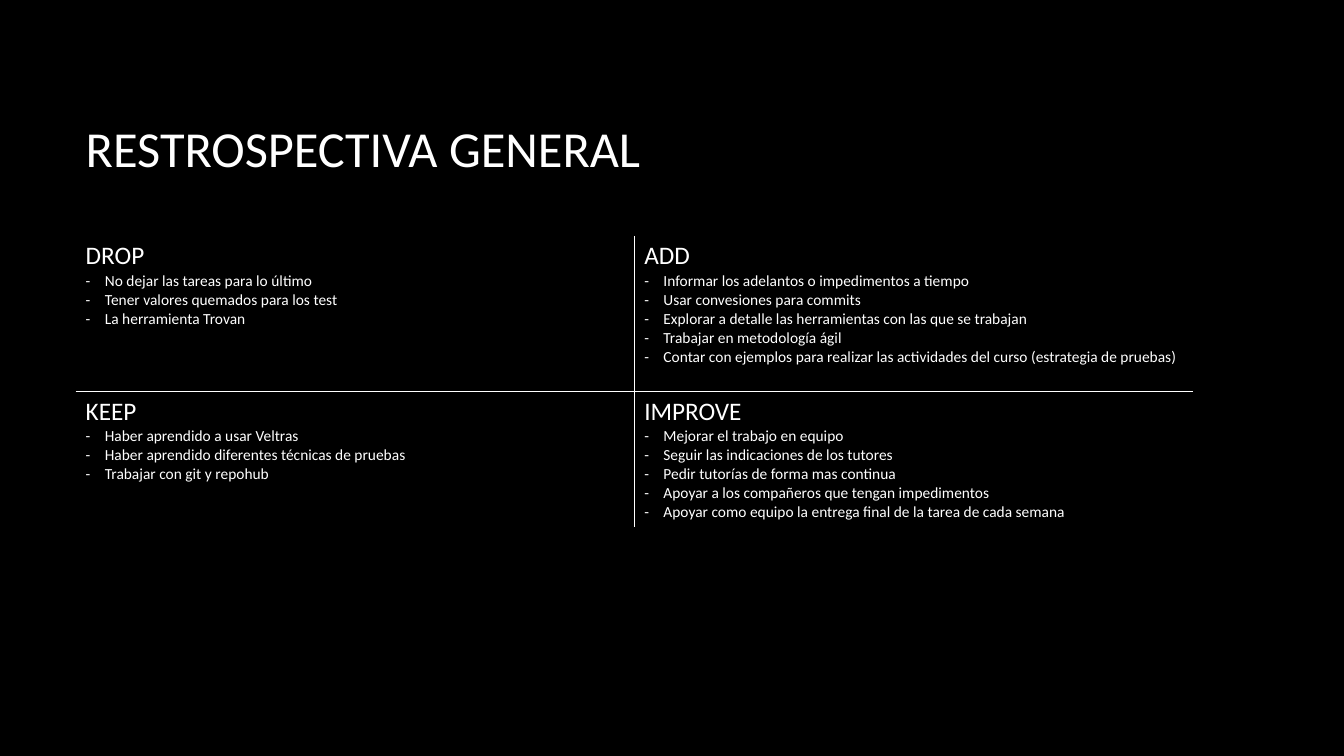
"""Build a retrospective slide with a two-by-two table of drop, add, keep and improve."""
import pptx
import pptx.dml.color
import pptx.enum.text
import pptx.oxml.ns
import pptx.util
from lxml import etree

BLACK = pptx.dml.color.RGBColor(0x00, 0x00, 0x00)
WHITE = pptx.dml.color.RGBColor(0xFF, 0xFF, 0xFF)
FONT = "Calibri"
LEFT, WIDTH = 0.75, 11.08
ROW_HEIGHTS = [1.54, 1.34]
INDENT = pptx.util.Inches(0.19)

QUADRANTS = [
    [("DROP", ["No dejar las tareas para lo último",
               "Tener valores quemados para los test",
               "La herramienta Trovan"]),
     ("ADD", ["Informar los adelantos o impedimentos a tiempo",
              "Usar convesiones para commits",
              "Explorar a detalle las herramientas con las que se trabajan",
              "Trabajar en metodología ágil",
              "Contar con ejemplos para realizar las actividades del curso (estrategia de pruebas)"])],
    [("KEEP", ["Haber aprendido a usar Veltras",
               "Haber aprendido diferentes técnicas de pruebas",
               "Trabajar con git y repohub"]),
     ("IMPROVE", ["Mejorar el trabajo en equipo",
                  "Seguir las indicaciones de los tutores",
                  "Pedir tutorías de forma mas continua",
                  "Apoyar a los compañeros que tengan impedimentos",
                  "Apoyar como equipo la entrega final de la tarea de cada semana"])],
]


def format_paragraph(p, text, size):
    p.text = text
    p.font.name = FONT
    p.font.size = pptx.util.Pt(size)
    p.font.bold = False
    p.font.color.rgb = WHITE


def add_border(cell, side, visible):
    ln = etree.SubElement(cell._tc.get_or_add_tcPr(), pptx.oxml.ns.qn(f"a:ln{side}"),
                          w=str(pptx.util.Pt(1)))
    if visible:
        fill = etree.SubElement(ln, pptx.oxml.ns.qn("a:solidFill"))
        etree.SubElement(fill, pptx.oxml.ns.qn("a:srgbClr"), val=str(WHITE))
    else:
        etree.SubElement(ln, pptx.oxml.ns.qn("a:noFill"))


prs = pptx.Presentation()
prs.slide_width = pptx.util.Inches(13.33)
prs.slide_height = pptx.util.Inches(7.5)
s = prs.slides.add_slide(prs.slide_layouts[5])
s.background.fill.solid()
s.background.fill.fore_color.rgb = BLACK

title = s.shapes.title
title.left, title.top = pptx.util.Inches(LEFT), pptx.util.Inches(0.67)
title.width, title.height = pptx.util.Inches(WIDTH), pptx.util.Inches(1.59)
tf = title.text_frame
tf.vertical_anchor = pptx.enum.text.MSO_ANCHOR.MIDDLE
format_paragraph(tf.paragraphs[0], "RESTROSPECTIVA GENERAL", 36)
tf.paragraphs[0].alignment = pptx.enum.text.PP_ALIGN.LEFT

table = s.shapes.add_table(2, 2, pptx.util.Inches(LEFT), pptx.util.Inches(2.34),
                           pptx.util.Inches(WIDTH), pptx.util.Inches(sum(ROW_HEIGHTS))).table
table.first_row = False
table.horz_banding = False

for r, quadrants in enumerate(QUADRANTS):
    table.rows[r].height = pptx.util.Inches(ROW_HEIGHTS[r])
    for c, (heading, items) in enumerate(quadrants):
        cell = table.cell(r, c)
        inner = {"L": c == 1, "R": c == 0, "T": r == 1, "B": r == 0}
        for side, visible in inner.items():
            add_border(cell, side, visible)
        cell.fill.background()
        tf = cell.text_frame
        format_paragraph(tf.paragraphs[0], heading, 18)
        for item in items:
            p = tf.add_paragraph()
            format_paragraph(p, item, 11)
            pPr = p._p.get_or_add_pPr()
            pPr.set("marL", str(INDENT))
            pPr.set("indent", str(-INDENT))
            pPr.insert(0, etree.Element(pptx.oxml.ns.qn("a:buFont"), typeface=FONT))
            pPr.insert(1, etree.Element(pptx.oxml.ns.qn("a:buChar"), char="-"))

prs.save("out.pptx")
